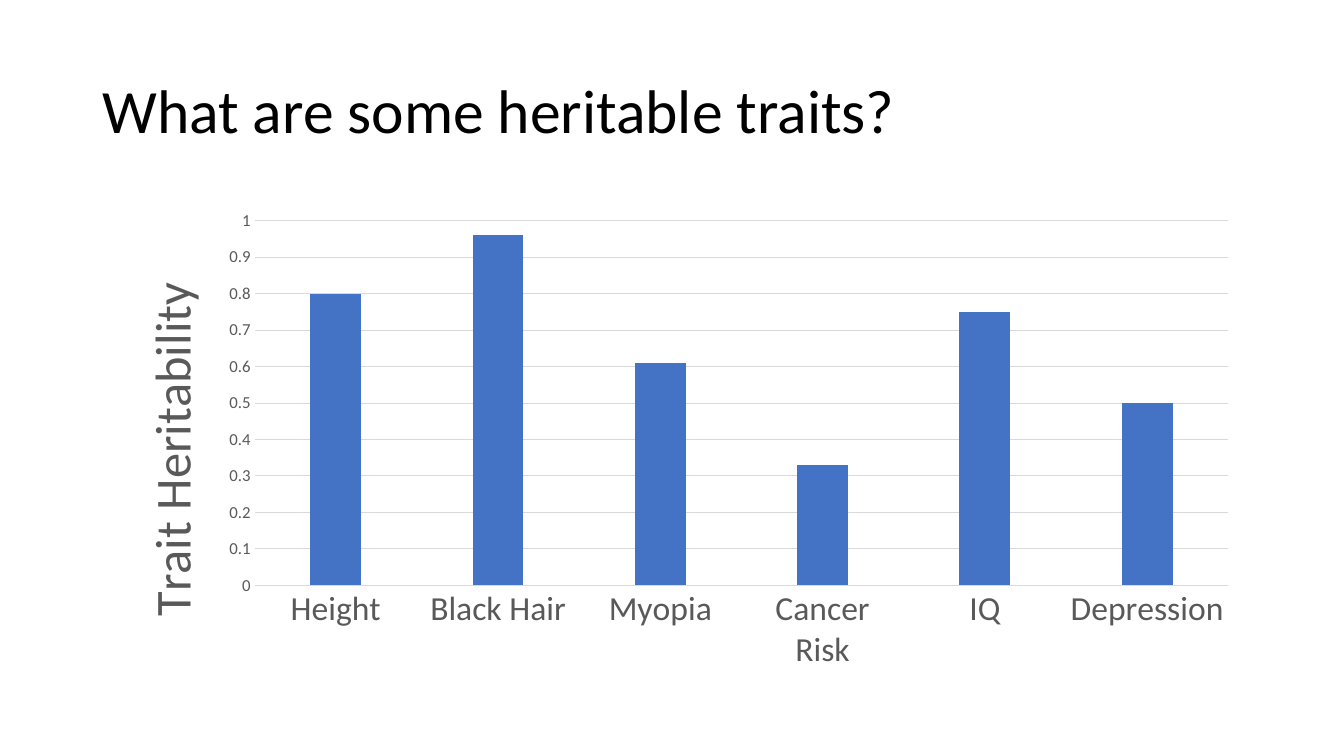
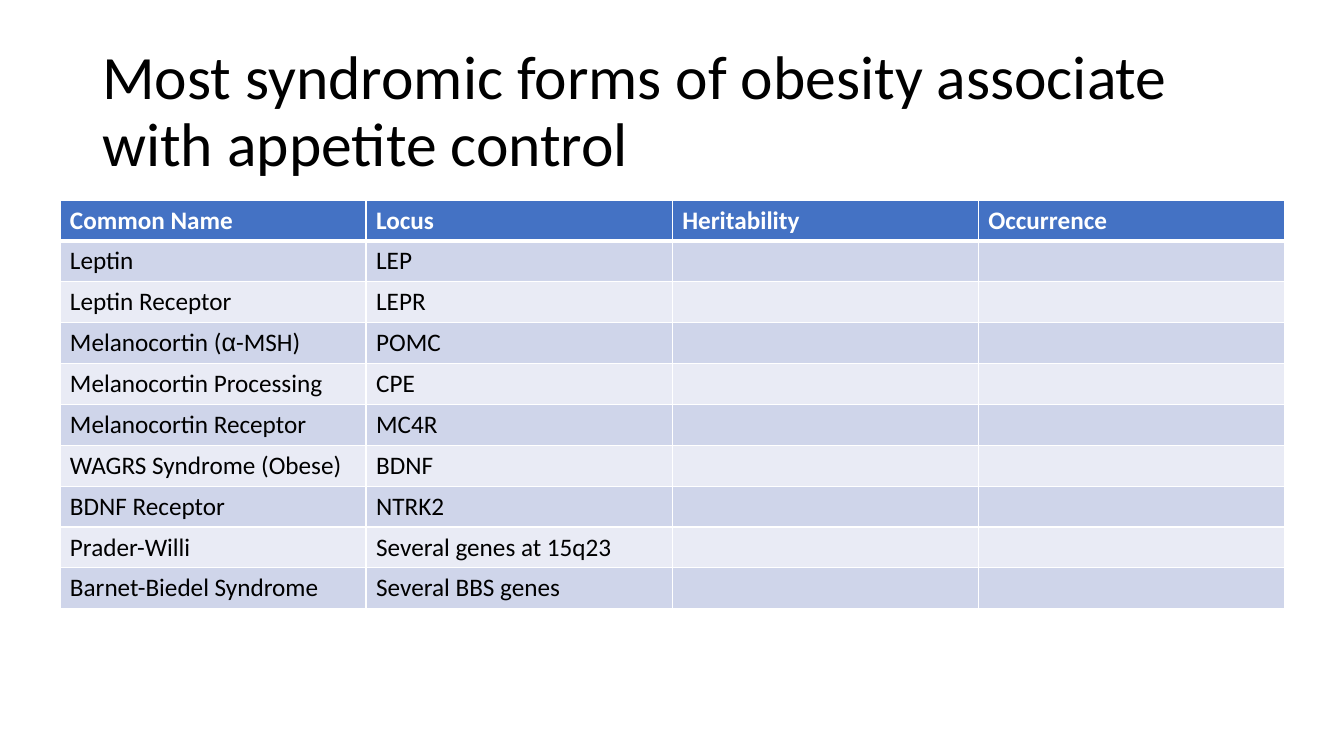
"""Build two slides on heritable traits: a column chart and a table of obesity genes."""
from lxml.etree import SubElement
from pptx import Presentation
from pptx.chart.data import CategoryChartData
from pptx.dml.color import RGBColor
from pptx.enum.chart import XL_CHART_TYPE as ChartType, XL_TICK_MARK as TickMark
from pptx.enum.text import MSO_ANCHOR as Anchor
from pptx.oxml import parse_xml
from pptx.oxml.ns import nsdecls, qn
from pptx.util import Cm, Pt

COLOURS = {
    "black": "000000", "white": "FFFFFF", "blue": "4472C4", "grey": "595959",
    "grid": "D9D9D9", "odd": "CFD5EA", "even": "E9EBF5",
}
COLOURS = {name: RGBColor.from_string(value) for name, value in COLOURS.items()}
TITLES = [
    "What are some heritable traits?",
    "Most syndromic forms of obesity associate with appetite control",
]
TRAITS = {
    "Height": 0.8, "Black Hair": 0.96, "Myopia": 0.61,
    "Cancer Risk": 0.33, "IQ": 0.75, "Depression": 0.5,
}
GENES = [
    ("Common Name", "Locus", "Heritability", "Occurrence"),
    ("Leptin", "LEP"),
    ("Leptin Receptor", "LEPR"),
    ("Melanocortin (α-MSH)", "POMC"),
    ("Melanocortin Processing", "CPE"),
    ("Melanocortin Receptor", "MC4R"),
    ("WAGRS Syndrome (Obese)", "BDNF"),
    ("BDNF Receptor", "NTRK2"),
    ("Prader-Willi", "Several genes at 15q23"),
    ("Barnet-Biedel Syndrome", "Several BBS genes"),
]


def style(font, size, colour, name="Calibri", bold=False):
    font.name, font.size, font.bold = name, Pt(size), bold
    font.color.rgb = COLOURS[colour]


def place(parent, index, **fractions):
    for old in parent.findall(qn("c:layout")):
        parent.remove(old)
    layout = parse_xml(f"<c:layout {nsdecls('c')}><c:manualLayout/></c:layout>")
    settings = {"xMode": "edge", "yMode": "edge", **fractions}
    if "w" in fractions:
        settings = {"layoutTarget": "inner", **settings}
    for tag, value in settings.items():
        SubElement(layout[0], qn(f"c:{tag}")).set("val", str(value))
    parent.insert(index, layout)


deck = Presentation()
deck.slide_width, deck.slide_height = Cm(33.87), Cm(19.05)
pages = []
for title in TITLES:
    page = deck.slides.add_slide(deck.slide_layouts[6])
    box = page.shapes.add_textbox(Cm(2.33), Cm(1.01), Cm(29.21), Cm(3.68))
    box.text_frame.word_wrap = True
    box.text_frame.vertical_anchor = Anchor.MIDDLE
    para = box.text_frame.paragraphs[0]
    para.line_spacing = 0.9
    span = para.add_run()
    span.text = title
    style(span.font, 44, "black")
    pages.append(page)
chart_page, table_page = pages

data = CategoryChartData()
data.categories = list(TRAITS)
data.add_series("Series 1", list(TRAITS.values()))
chart = chart_page.shapes.add_chart(
    ChartType.COLUMN_CLUSTERED, Cm(2.33), Cm(5.08), Cm(29.21), Cm(12.09), data
).chart
chart.has_legend = chart.has_title = False
style(chart.font, 10, "black")
plot = chart.plots[0]
plot.gap_width, plot.overlap, plot.vary_by_categories = 219, -27, False
columns = plot.series[0].format.fill
columns.solid()
columns.fore_color.rgb = COLOURS["blue"]

category_axis, value_axis = chart.category_axis, chart.value_axis
for axis, size in ((category_axis, 24), (value_axis, 12)):
    axis.major_tick_mark = axis.minor_tick_mark = TickMark.NONE
    style(axis.tick_labels.font, size, "grey")
value_axis.minimum_scale, value_axis.maximum_scale, value_axis.major_unit = 0, 1, 0.1
value_axis.format.line.fill.background()
value_axis.has_major_gridlines = True
for line in (category_axis.format.line, value_axis.major_gridlines.format.line):
    line.color.rgb = COLOURS["grid"]
    line.width = Pt(0.75)

axis_title = value_axis.axis_title
span = axis_title.text_frame.paragraphs[0].add_run()
span.text = "Trait Heritability"
style(span.font, 36, "grey")
axis_title.text_frame._txBody.bodyPr.set("rot", "-5400000")
place(axis_title._element, 1, x=0.03, y=0.15)
place(chart._chartSpace.chart.plotArea, 0, x=0.14, y=0.04, w=0.84, h=0.76)

table = table_page.shapes.add_table(
    len(GENES), len(GENES[0]), Cm(1.51), Cm(5.04), Cm(30.86), Cm(10.3)
).table
for row_index, row in enumerate(table.rows):
    row.height = Cm(1.03)
    header = row_index == 0
    fill = "blue" if header else "odd" if row_index % 2 else "even"
    thick_side = {0: "B", 1: "T"}.get(row_index)
    for cell in row.cells:
        borders = cell._tc.get_or_add_tcPr()
        for side in "LRTB":
            width = Pt(3 if side == thick_side else 1)
            borders.append(parse_xml(
                f'<a:ln{side} {nsdecls("a")} w="{width}"><a:solidFill>'
                f'<a:srgbClr val="{COLOURS["white"]}"/></a:solidFill></a:ln{side}>'
            ))
        cell.fill.solid()
        cell.fill.fore_color.rgb = COLOURS[fill]
    for cell, text in zip(row.cells, GENES[row_index]):
        for part in filter(None, text.partition("α")):
            span = cell.text_frame.paragraphs[0].add_run()
            span.text = part
            font_name = "Arial" if part == "α" else "Calibri"
            style(span.font, 18, "white" if header else "black", font_name, header)

deck.save("out.pptx")
